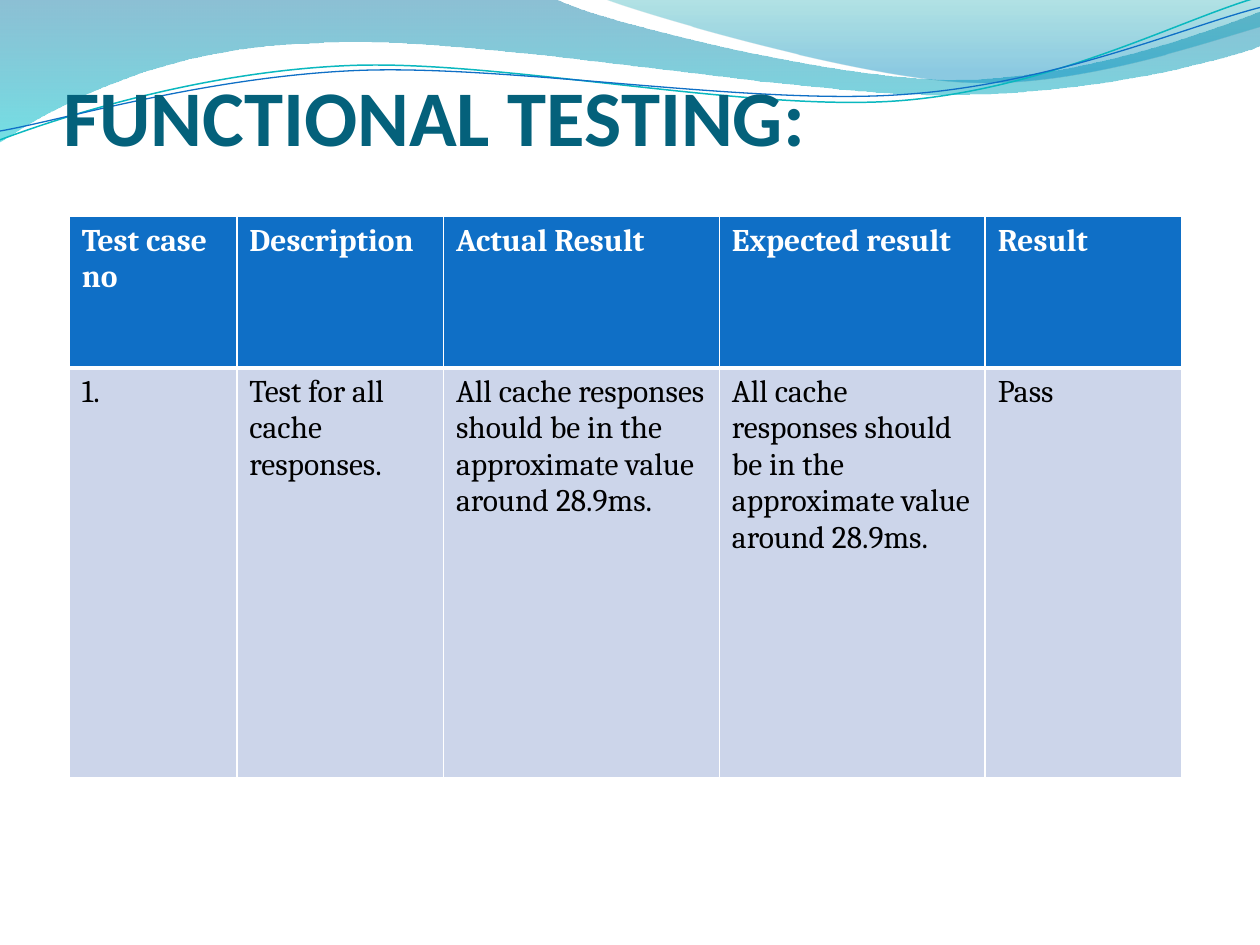
from math import cos, radians, sin
from typing import NamedTuple

from lxml.etree import SubElement
from pptx import Presentation
from pptx.dml.color import RGBColor
from pptx.enum.text import MSO_ANCHOR, MSO_AUTO_SIZE, PP_ALIGN
from pptx.oxml import parse_xml
from pptx.oxml.ns import nsdecls, qn
from pptx.util import Inches, Pt

COLORS = {
    "title": "04617B",
    "header": "0F6FC6",
    "body": "CCD5EA",
    "white": "FFFFFF",
    "black": "000000",
    "teal": "0AB8BF",
    "blue": "0F6FC6",
    "deep blue": "0074A1",
    "cyan": "00C6CF",
    "sea": "00A1A9",
    "sky": "008BBF",
}
STRAND_TILT = -2.7


class Stop(NamedTuple):
    position: float
    color: str
    opacity: int


class Band(NamedTuple):
    """A filled wave; a segment of one point is a line, of three a curve."""
    start: tuple
    segments: list
    stops: list


class Strand(NamedTuple):
    """A thin tilted wave line, centred on its pivot."""
    start: tuple
    segments: list
    pivot: tuple
    color: str
    width: float


BANDS = [
    Band((0, 0), [
        [(4.4, -0.01)],
        [(4.76, 0.17), (6.64, 0.63), (7.58, 0.63)],
        [(8.53, 0.63), (9.58, 0.26), (10, 0.09)],
        [(10.01, 0.36)],
        [(9.83, 0.44), (8.7, 0.76), (7.46, 0.75)],
        [(6.22, 0.75), (3.82, 0.28), (2.57, 0.34)],
        [(1.29, 0.36), (0.46, 0.83), (-0.01, 1.13)],
        [(0, 0)],
    ], [Stop(0, "deep blue", 45), Stop(1, "cyan", 55)]),
    Band((4.79, -0.01), [
        [(5.09, 0.11), (6.82, 0.62), (7.69, 0.65)],
        [(8.56, 0.69), (9.61, 0.32), (10, 0.21)],
        [(10, 0)],
        [(4.79, -0.01)],
    ], [Stop(0, "sea", 30), Stop(0.8, "sky", 45)]),
]
STRANDS = [
    Strand((0, 1.11), [
        [(0.48, 0.93), (1.58, 0.57), (2.77, 0.52)],
        [(3.95, 0.47), (5.93, 0.89), (7.13, 0.8)],
        [(8.33, 0.71), (9.38, 0.15), (9.98, -0.02)],
    ], (4.99, 0.58), "teal", 0.85),
    Strand((0, 1.04), [
        [(0.47, 0.96), (1.64, 0.61), (2.83, 0.56)],
        [(4.03, 0.51), (5.97, 0.84), (7.17, 0.75)],
        [(8.36, 0.67), (9.41, 0.21), (10, 0.06)],
    ], (5, 0.59), "blue", 0.75),
]
COLUMN_WIDTHS = [1.33, 1.64, 2.19, 2.11, 1.56]
ROW_HEIGHTS = [1.2, 3.25]
CACHE_RESULT = "All cache responses should be in the approximate value around 28.9ms."
ROWS = [
    ["Test case no", "Description", "Actual Result", "Expected result", "Result"],
    ["1.", "Test for all cache responses.", CACHE_RESULT, CACHE_RESULT, "Pass"],
]


def rgb(name: str) -> RGBColor:
    return RGBColor.from_string(COLORS[name])


def turn(point: tuple, pivot: tuple, degrees: float) -> tuple:
    angle = radians(degrees)
    dx, dy = point[0] - pivot[0], point[1] - pivot[1]
    return (pivot[0] + dx * cos(angle) - dy * sin(angle),
            pivot[1] + dx * sin(angle) + dy * cos(angle))


def draw_outline(slide, start: tuple, segments: list, close: bool):
    """Draw a freeform, merging the three lines of each curve into one Bézier."""
    points = [(Inches(x), Inches(y)) for segment in segments for x, y in segment]
    builder = slide.shapes.build_freeform(Inches(start[0]), Inches(start[1]))
    builder.add_line_segments(points, close=close)
    shape = builder.convert_to_shape()
    shape.shadow.inherit = False
    lines = iter(list(shape.element.iter(qn("a:lnTo"))))
    for segment in segments:
        steps = [next(lines) for _ in segment]
        if len(steps) == 3:
            curve = parse_xml(f'<a:cubicBezTo {nsdecls("a")}/>')
            steps[0].addprevious(curve)
            for step in steps:
                curve.append(step[0])
                step.getparent().remove(step)
    return shape


def draw_band(slide, band: Band) -> None:
    shape = draw_outline(slide, band.start, band.segments, True)
    shape.line.fill.background()
    shape.fill.gradient()
    shape.fill.gradient_angle = 270
    for target, stop in zip(shape.fill.gradient_stops, band.stops):
        target.position = stop.position
        target.color.rgb = rgb(stop.color)
    for color, stop in zip(shape.element.iter(qn("a:srgbClr")), band.stops):
        SubElement(color, qn("a:alpha")).set("val", str(stop.opacity * 1000))


def draw_strand(slide, strand: Strand) -> None:
    start = turn(strand.start, strand.pivot, -STRAND_TILT)
    segments = [[turn(point, strand.pivot, -STRAND_TILT) for point in segment]
                for segment in strand.segments]
    shape = draw_outline(slide, start, segments, False)
    shape.rotation = STRAND_TILT
    shape.fill.background()
    shape.line.color.rgb = rgb(strand.color)
    shape.line.width = Pt(strand.width)


def add_span(para, text: str, font: str, size: float, color: str, bold: bool) -> None:
    span = para.add_run()
    span.text = text
    span.font.name = font
    span.font.size = Pt(size)
    span.font.bold = bold
    span.font.color.rgb = rgb(color)


def set_borders(cell, widths: dict) -> None:
    properties = cell._tc.get_or_add_tcPr()
    for index, (side, width) in enumerate(widths.items()):
        properties.insert(index, parse_xml(
            f'<a:ln{side} {nsdecls("a")} w="{Pt(width)}"><a:solidFill>'
            f'<a:srgbClr val="{COLORS["white"]}"/></a:solidFill></a:ln{side}>'))


def draw_table(slide) -> None:
    frame = slide.shapes.add_table(
        len(ROWS), len(COLUMN_WIDTHS), Inches(0.55), Inches(1.72),
        Inches(sum(COLUMN_WIDTHS)), Inches(sum(ROW_HEIGHTS)))
    table = frame.table
    for column, width in zip(table.columns, COLUMN_WIDTHS):
        column.width = Inches(width)
    for index, (row, height, texts) in enumerate(zip(table.rows, ROW_HEIGHTS, ROWS)):
        row.height = Inches(height)
        header = index == 0
        for cell, text in zip(row.cells, texts):
            cell.fill.solid()
            cell.fill.fore_color.rgb = rgb("header" if header else "body")
            set_borders(cell, {"L": 1, "R": 1, "T": 1 if header else 3, "B": 3 if header else 1})
            add_span(cell.text_frame.paragraphs[0], text, "Cambria", 18,
                     "white" if header else "black", header)


def set_title(slide) -> None:
    title = slide.shapes.title
    title.element.getparent().append(title.element)  # in front of the waves
    title.left, title.top = Inches(0.5), Inches(0.77)
    title.width, title.height = Inches(9), Inches(1.25)
    box = title.text_frame
    box.auto_size = MSO_AUTO_SIZE.NONE
    box.word_wrap = True
    box.vertical_anchor = MSO_ANCHOR.BOTTOM
    box.margin_left = box.margin_right = box.margin_bottom = 0
    box.margin_top = Inches(0.05)
    para = box.paragraphs[0]
    para.alignment = PP_ALIGN.LEFT
    add_span(para, "FUNCTIONAL TESTING:", "Calibri", 45, "title", True)
    para.add_line_break()


def main() -> None:
    deck = Presentation()
    deck.slide_width, deck.slide_height = Inches(10), Inches(7.5)
    page = deck.slides.add_slide(deck.slide_layouts[5])
    for band in BANDS:
        draw_band(page, band)
    for strand in STRANDS:
        draw_strand(page, strand)
    set_title(page)
    draw_table(page)
    deck.save("out.pptx")


if __name__ == "__main__":
    main()
